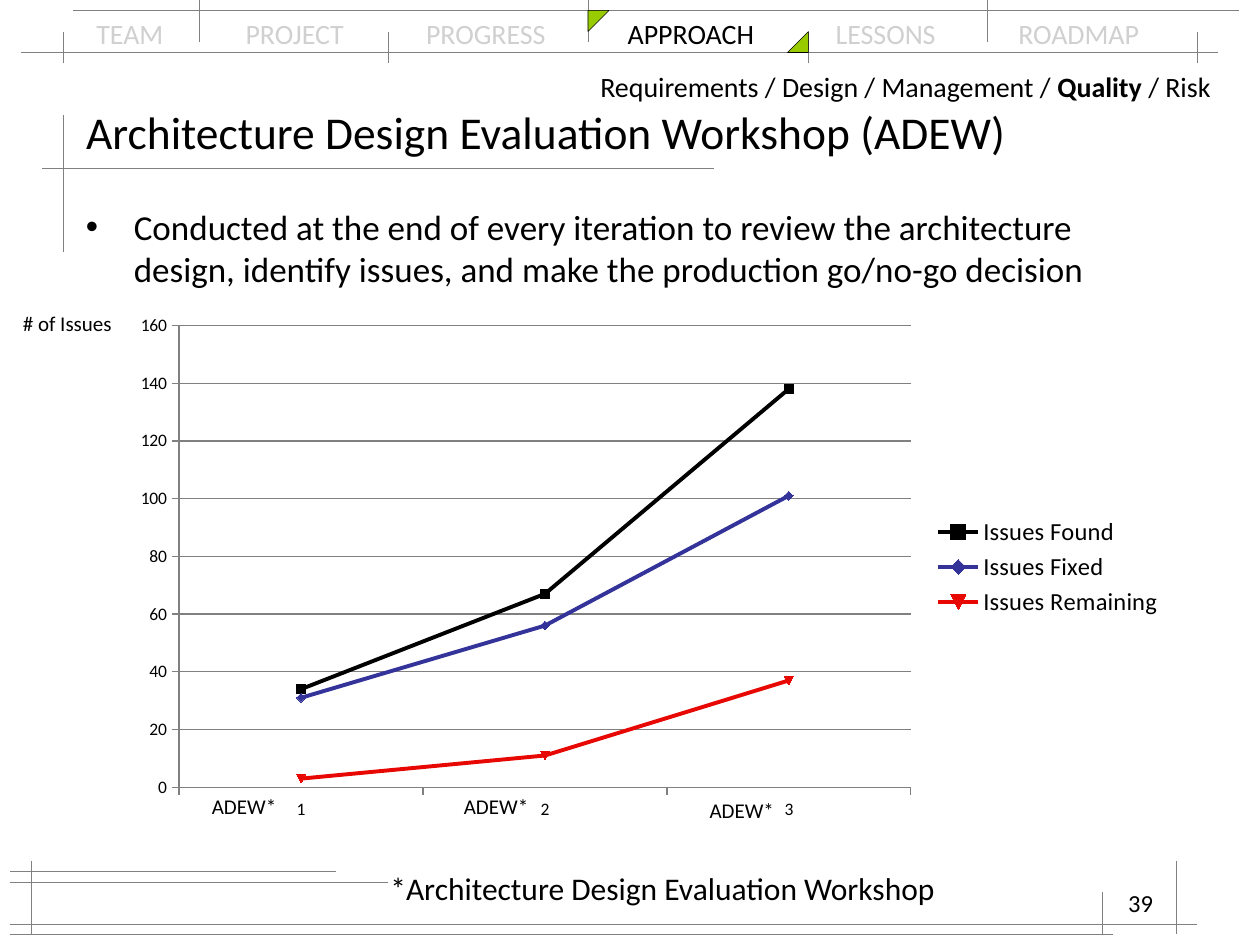
"""Build the slide on the architecture design evaluation workshop."""
import pptx
import pptx.chart.data
import pptx.dml.color
import pptx.enum.chart
import pptx.enum.shapes
import pptx.enum.text
import pptx.oxml
import pptx.oxml.ns
import pptx.util

COLOURS = {"text": "000000", "muted": "D0D0D0", "rule": "808080",
           "accent": "99CC00", "fixed": "333399", "remaining": "E70803"}
COLOURS = {name: pptx.dml.color.RGBColor.from_string(value) for name, value in COLOURS.items()}
ALIGN = pptx.enum.text.PP_ALIGN
NAMESPACE = pptx.oxml.ns.nsdecls

presentation = pptx.Presentation()
presentation.slide_width = pptx.util.Inches(10)
presentation.slide_height = pptx.util.Inches(7.5)
COLUMN = presentation.slide_width / 120
ROW = presentation.slide_height / 90
slide = presentation.slides.add_slide(presentation.slide_layouts[5])


def cells(left, top, width, height):
    """Turn grid columns and rows into lengths."""
    return int(left * COLUMN), int(top * ROW), int(width * COLUMN), int(height * ROW)


def write(shape, runs, size, wrap=True, align=ALIGN.LEFT, anchor=pptx.enum.text.MSO_ANCHOR.TOP):
    """Fill a shape with one paragraph of (text, colour, bold) runs."""
    frame_format = {"word_wrap": wrap, "vertical_anchor": anchor,
                    "auto_size": pptx.enum.text.MSO_AUTO_SIZE.NONE}
    for name, value in frame_format.items():
        setattr(shape.text_frame, name, value)
    paragraph = shape.text_frame.paragraphs[0]
    paragraph.alignment = align
    for text, colour, bold in runs:
        run = paragraph.add_run()
        run.text = text
        for name, value in {"name": "Calibri", "size": pptx.util.Pt(size), "bold": bold}.items():
            setattr(run.font, name, value)
        run.font.color.rgb = COLOURS[colour]
    return paragraph


# Navigation
tabs = ["TEAM", "PROJECT", "PROGRESS", "APPROACH", "LESSONS", "ROADMAP"]
runs = [("\t" * (index > 0) + tab, "text" if tab == "APPROACH" else "muted", False)
        for index, tab in enumerate(tabs)]
navigation = write(slide.shapes.add_textbox(*cells(8, 1, 104, 4.4)), runs, 16)
stops = "".join(f'<a:tab pos="{int(column * COLUMN)}" algn="l"/>'
                for column in (14.2, 31.4, 50.6, 70.4, 87.8))
navigation._p.get_or_add_pPr().append(
    pptx.oxml.parse_xml(f'<a:tabLst {NAMESPACE("a")}>{stops}</a:tabLst>'))

horizontal = [(2, 116, 5), (7, 118, 1), (4, 68, 16), (1, 37, 84),
              (1, 114, 88), (1, 32, 83), (1, 106, 89)]
vertical = [(6, 11, 24), (3, 82, 89), (112, 82, 89), (105, 85, 89)]
vertical += [(column, 3, 6) for column in (6, 37, 77, 114)]
vertical += [(column, 0, 4) for column in (19, 56, 94)]
rules = [(start, row, end, row) for start, end, row in horizontal]
rules += [(column, start, column, end) for column, start, end in vertical]
for rule in rules:
    connector = slide.shapes.add_connector(pptx.enum.shapes.MSO_CONNECTOR.STRAIGHT, *cells(*rule))
    connector.line.color.rgb = COLOURS["rule"]
    connector.line.width = pptx.util.Pt(0.3)
    connector._element.spPr.append(pptx.oxml.parse_xml(f'<a:effectLst {NAMESPACE("a")}/>'))

for left, top, flip in ((56, 1, "flipV"), (75, 3, "flipH")):
    corner = slide.shapes.add_shape(
        pptx.enum.shapes.MSO_SHAPE.RIGHT_TRIANGLE, *cells(left, top, 2, 2))
    corner.shadow.inherit = False
    corner.fill.solid()
    corner.fill.fore_color.rgb = COLOURS["accent"]
    corner.line.color.rgb = COLOURS["text"]
    corner.line.width = pptx.util.Pt(0.3)
    corner._element.spPr.get_or_add_xfrm().set(flip, "1")

title = slide.shapes.title
for name, value in zip(("left", "top", "width", "height"), cells(7, 9, 106, 7)):
    setattr(title, name, value)
write(title, [("Architecture Design Evaluation Workshop (ADEW)", "text", False)], 26,
      anchor=pptx.enum.text.MSO_ANCHOR.MIDDLE)

statement = ("Conducted at the end of every iteration to review the architecture design, "
             "identify issues, and make the production go/no-go decision")
bullet = write(slide.shapes.add_textbox(*cells(7, 19, 106, 9)), [(statement, "text", False)], 20)
properties = bullet._p.get_or_add_pPr()
indent = pptx.util.Inches(0.38)
properties.set("marL", str(indent))
properties.set("indent", str(-indent))
for tag in ('buFont {} typeface="Arial"', 'buChar {} char="•"'):
    properties.append(pptx.oxml.parse_xml(f'<a:{tag.format(NAMESPACE("a"))}/>'))

topics = [("Requirements / Design / Management / ", "text", False),
          ("Quality", "text", True), (" / Risk", "text", False)]
write(slide.shapes.add_textbox(*cells(56, 6, 61, 4.4)), topics, 16)
write(slide.shapes.add_textbox(*cells(86, 84, 25, 6)), [("39", "text", False)], 14,
      align=ALIGN.RIGHT)

# Chart
data = pptx.chart.data.CategoryChartData()
data.categories = ["1", "2", "3"]
series_values = {"Issues Found": ((34, 67, 138), "text"),
                 "Issues Fixed": ((31, 56, 101), "fixed"),
                 "Issues Remaining": ((3, 11, 37), "remaining")}
for name, (values, colour) in series_values.items():
    data.add_series(name, values)
chart = slide.shapes.add_chart(
    pptx.enum.chart.XL_CHART_TYPE.LINE_MARKERS, *cells(11, 29, 101, 50), data).chart
chart.has_title = False
chart.has_legend = True
chart.legend.position = pptx.enum.chart.XL_LEGEND_POSITION.RIGHT
chart.legend.include_in_layout = False
for font, size in ((chart.font, 10), (chart.legend.font, 14)):
    for name, value in {"name": "Calibri", "size": pptx.util.Pt(size)}.items():
        setattr(font, name, value)
    font.color.rgb = COLOURS["text"]

plot = chart.plots[0]
plot.vary_by_categories = False
for series, (values, colour) in zip(plot.series, series_values.values()):
    series.smooth = False
    series.format.line.width = pptx.util.Pt(2.25)
    series.format.line.color.rgb = COLOURS[colour]
    series.marker.style = pptx.enum.chart.XL_MARKER_STYLE.AUTOMATIC
    series.marker.size = 5
    series.marker.format.fill.solid()
    series.marker.format.fill.fore_color.rgb = COLOURS[colour]
    series.marker.format.line.color.rgb = COLOURS[colour]

value_format = {"minimum_scale": 0, "maximum_scale": 160, "major_unit": 20,
                "has_major_gridlines": True}
for name, value in value_format.items():
    setattr(chart.value_axis, name, value)
for axis in (chart.category_axis, chart.value_axis):
    axis.major_tick_mark = pptx.enum.chart.XL_TICK_MARK.OUTSIDE
    axis.format.line.color.rgb = COLOURS["rule"]
chart.value_axis.major_gridlines.format.line.color.rgb = COLOURS["rule"]

plot_area = chart._chartSpace.chart.plotArea
for old in plot_area.findall(pptx.oxml.ns.qn("c:layout")):
    plot_area.remove(old)
shares = {"x": 0.06, "y": 0.04, "w": 0.69, "h": 0.88}
modes = "".join(f'<c:{axis}Mode val="edge"/>' for axis in "xy")
sizes = "".join(f'<c:{name} val="{share}"/>' for name, share in shares.items())
plot_area.insert(0, pptx.oxml.parse_xml(
    f'<c:layout {NAMESPACE("c")}><c:manualLayout><c:layoutTarget val="inner"/>'
    f'{modes}{sizes}</c:manualLayout></c:layout>'))

for left, top, width, text in ((43, 75, 8.6, "ADEW*"), (19, 75, 8.6, "ADEW*"),
                               (66.4, 75.4, 8.6, "ADEW*"), (1, 29, 11, "# of Issues")):
    write(slide.shapes.add_textbox(*cells(left, top, width, 3.6)), [(text, "text", False)], 12,
          wrap=False)
write(slide.shapes.add_textbox(*cells(36, 82.2, 60, 4.8)),
      [("*Architecture Design Evaluation Workshop", "text", False)], 18)

presentation.save("out.pptx")
